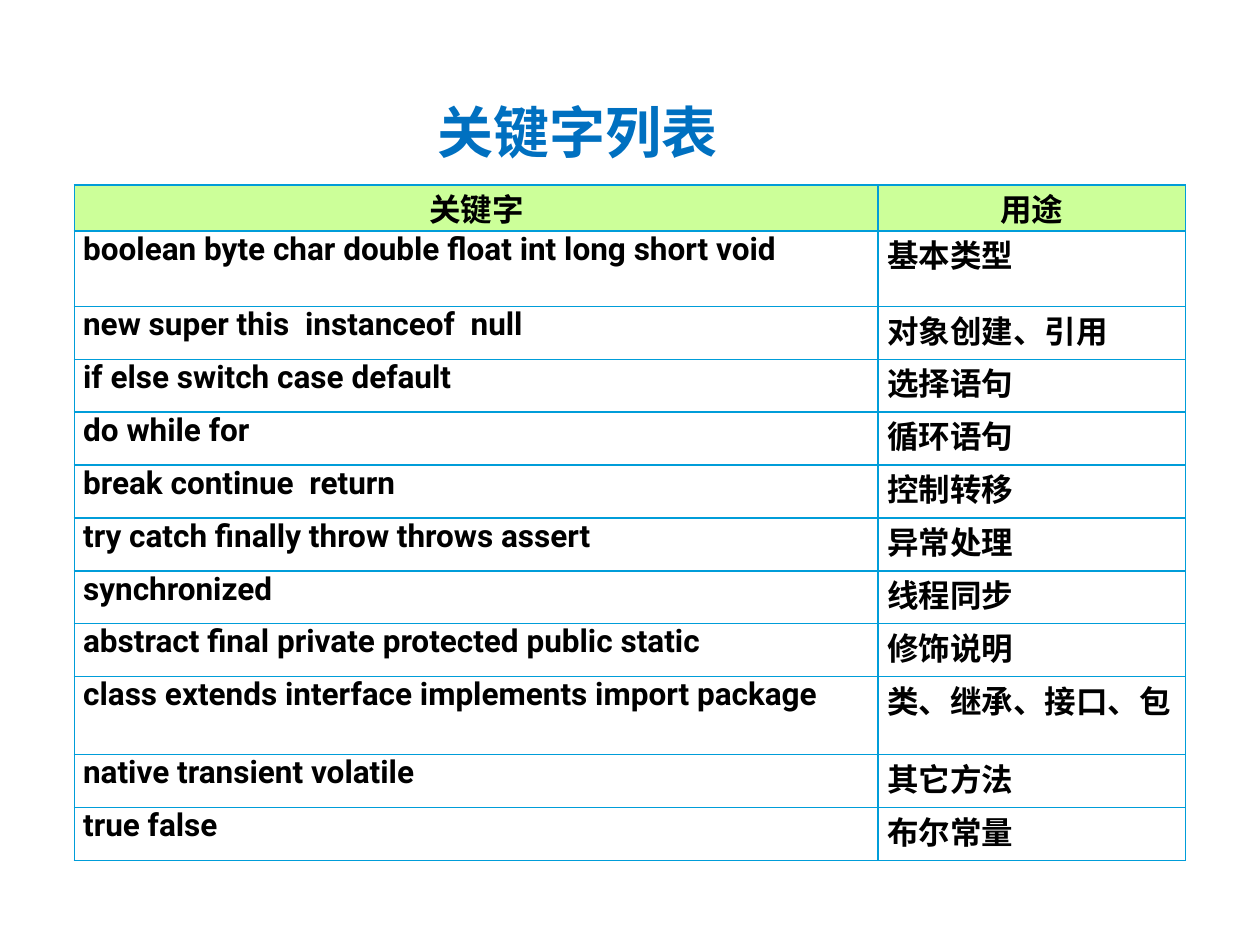
from lxml import etree
from pptx import Presentation
from pptx.dml.color import RGBColor
from pptx.enum.text import MSO_ANCHOR, PP_ALIGN
from pptx.oxml.ns import qn
from pptx.util import Pt

PX = 9144
CENTER, JUSTIFY = PP_ALIGN.CENTER, PP_ALIGN.JUSTIFY
BOTTOM, TOP = MSO_ANCHOR.BOTTOM, MSO_ANCHOR.TOP
TITLE_ONLY = 5

BLACK, BLUE, CYAN, LIME = "000000", "0070C0", "009DD9", "CCFF99"

HEADER = ("关键字", "用途")
KEYWORDS = [
    ("boolean byte char double float int long short void", "基本类型", 60),
    ("new super this  instanceof  null", "对象创建、引用", 42),
    ("if else switch case default ", "选择语句", 42),
    ("do while for ", "循环语句", 42),
    ("break continue  return", "控制转移", 42),
    ("try catch finally throw throws assert", "异常处理", 42),
    ("synchronized", "线程同步", 42),
    ("abstract final private protected public static", "修饰说明", 42),
    ("class extends interface implements import package", "类、继承、接口、包", 62),
    ("native transient volatile", "其它方法", 42),
    ("true false ", "布尔常量", 42),
]
HEADER_H = 32
PURPOSE_W = 244


def px(n):
    return int(n * PX)


def rgb(color):
    return RGBColor.from_string(color)


def set_text(tf, text, size, font, color, align):
    tf.text = text
    p = tf.paragraphs[0]
    p.alignment = align
    f = p.runs[0].font
    f.size, f.name, f.bold = Pt(size), font, True
    f.color.rgb = rgb(color)


def set_borders(cell, color):
    tcPr = cell._tc.get_or_add_tcPr()
    for side in ("a:lnL", "a:lnR", "a:lnT", "a:lnB"):
        ln = etree.SubElement(tcPr, qn(side), w=str(Pt(1)))
        fill = etree.SubElement(ln, qn("a:solidFill"))
        etree.SubElement(fill, qn("a:srgbClr"), val=color)


def add_title(s, text, x, y, w, h):
    sp = s.shapes.title
    sp.left, sp.top, sp.width, sp.height = px(x), px(y), px(w), px(h)
    tf = sp.text_frame
    tf.vertical_anchor = BOTTOM
    tf.margin_left = tf.margin_right = tf.margin_bottom = 0
    tf.margin_top = px(5)
    set_text(tf, text, 32, "Montserrat", BLUE, CENTER)


def fill_cell(cell, text, is_header):
    cell.margin_left = cell.margin_right = px(7)
    cell.margin_top = cell.margin_bottom = 0
    cell.vertical_anchor = TOP
    set_borders(cell, CYAN)
    if is_header:
        cell.fill.solid()
        cell.fill.fore_color.rgb = rgb(LIME)
    else:
        cell.fill.background()
    align = CENTER if is_header else JUSTIFY
    set_text(cell.text_frame, text, 18, "Roboto", BLACK, align)


def add_keyword_table(s, x, y, w, h):
    rows = [(*HEADER, HEADER_H)] + KEYWORDS
    table = s.shapes.add_table(len(rows), 2, px(x), px(y), px(w), px(h)).table
    table.first_row = table.horz_banding = False
    table.columns[0].width = px(w - PURPOSE_W)
    table.columns[1].width = px(PURPOSE_W)
    for i, (words, purpose, height) in enumerate(rows):
        table.rows[i].height = px(height)
        for j, text in enumerate((words, purpose)):
            fill_cell(table.cell(i, j), text, i == 0)


def main():
    prs = Presentation()
    prs.slide_width, prs.slide_height = px(1000), px(750)
    s = prs.slides.add_slide(prs.slide_layouts[TITLE_ONLY])
    add_title(s, "关键字列表", 50, 58, 817, 73)
    add_keyword_table(s, 59, 147, 882, 530)
    prs.save("out.pptx")


if __name__ == "__main__":
    main()
